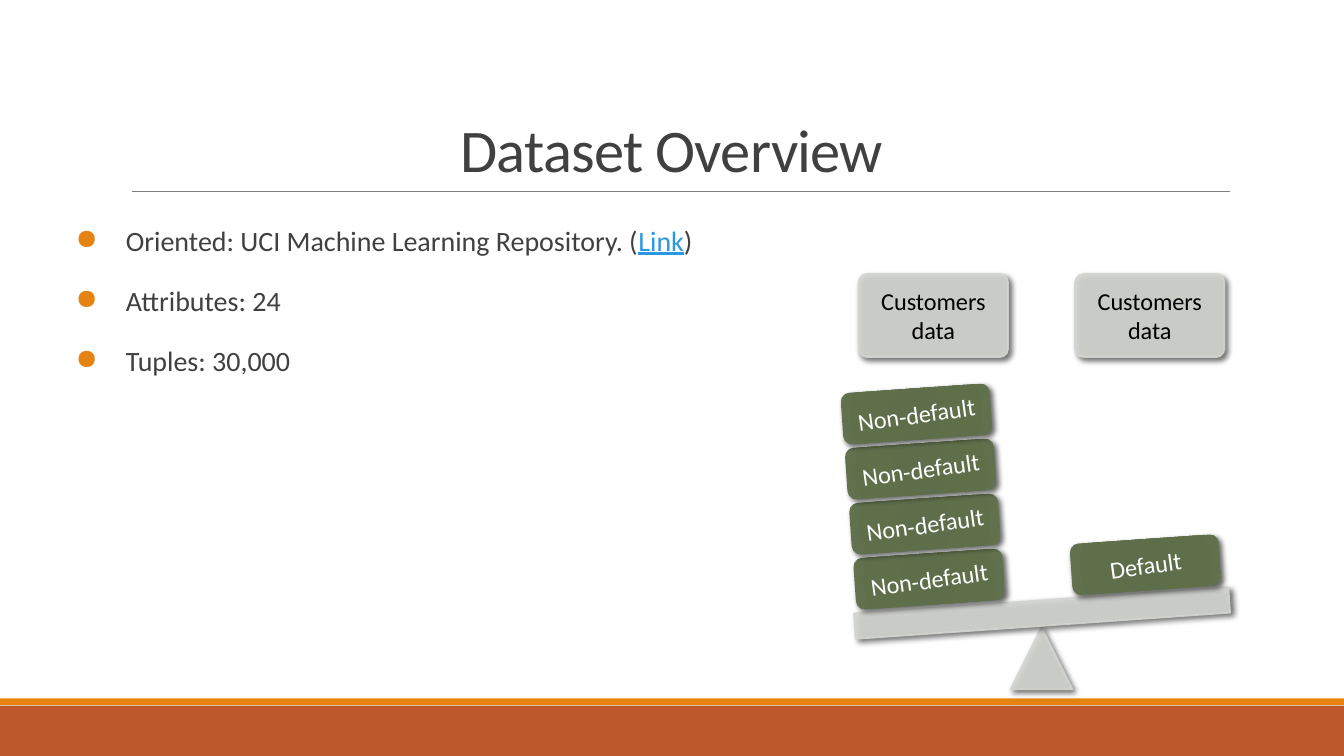
from pptx import Presentation
from pptx.dml.color import RGBColor
from pptx.enum.shapes import MSO_CONNECTOR, MSO_SHAPE as SHAPE
from pptx.enum.text import MSO_ANCHOR as ANCHOR, PP_ALIGN as ALIGN
from pptx.oxml import parse_xml
from pptx.oxml.ns import nsdecls, qn
from pptx.util import Cm, Pt
from lxml.etree import SubElement

rgb = RGBColor.from_string
NS = nsdecls("a")
SHADOW = (f'<a:outerShdw {NS} blurRad="38100" dist="25400" dir="2700000" rotWithShape="0">'
          '<a:srgbClr val="000000"><a:alpha val="60000"/></a:srgbClr></a:outerShdw>')
STOPS = [(0, "5D6D48"), (34, "5E6D4A"), (70, "5F6F4A"), (100, "637250")]
GREEN = (f'<a:gradFill {NS} rotWithShape="1"><a:gsLst>'
         + "".join(f'<a:gs pos="{pos * 1000}"><a:srgbClr val="{c}"/></a:gs>' for pos, c in STOPS)
         + '</a:gsLst><a:path path="circle"><a:fillToRect l="100000" t="100000" r="100000" b="100000"/>'
         '</a:path></a:gradFill>')
GREY = "D3D5D1"
DARK = "404040"

prs = Presentation()
prs.slide_width, prs.slide_height = Cm(25.4), Cm(14.29)
slide = prs.slides.add_slide(prs.slide_layouts[6])


def add_part(kind, x, y, w, h, rot=0, green=False):
    s = slide.shapes.add_shape(kind, Cm(x), Cm(y), Cm(w), Cm(h))
    s.rotation = rot
    s.fill.solid()
    s.fill.fore_color.rgb = rgb(GREY)
    if green:
        s.line.fill.background()
        solid = s._element.spPr.find(qn("a:solidFill"))
        solid.getparent().replace(solid, parse_xml(GREEN))
    else:
        s.line.color.rgb = rgb(GREY)
        s.line.width = Pt(1)
        for clr in s._element.spPr.iter(qn("a:srgbClr")):
            SubElement(clr, qn("a:alpha"), val="90000")
    s.shadow.inherit = False
    s._element.spPr.find(qn("a:effectLst")).append(parse_xml(SHADOW))
    return s


def add_text(x, y, w, h, paragraphs, size, inset, anchor=ANCHOR.TOP, align=ALIGN.LEFT, spacing=1.0):
    s = slide.shapes.add_textbox(Cm(x), Cm(y), Cm(w), Cm(h))
    tf = s.text_frame
    tf.word_wrap = True
    tf.vertical_anchor = anchor
    tf.margin_left = tf.margin_right = tf.margin_top = tf.margin_bottom = Cm(inset)
    for i, runs in enumerate(paragraphs):
        p = tf.add_paragraph() if i else tf.paragraphs[0]
        p.alignment = align
        p.line_spacing = spacing
        for text, color in runs:
            r = p.add_run()
            r.text = text
            r.font.name = "Calibri"
            r.font.size = Pt(size)
            r.font.color.rgb = rgb(color)
    return s


for y, h, color in [(13.34, 0.95, "BD582C"), (13.2, 0.13, "E48312")]:
    s = slide.shapes.add_shape(SHAPE.RECTANGLE, 0, Cm(y), prs.slide_width, Cm(h))
    s.fill.solid()
    s.fill.fore_color.rgb = rgb(color)
    s.line.fill.background()
    s.shadow.inherit = False

rule = slide.shapes.add_connector(MSO_CONNECTOR.STRAIGHT, Cm(2.49), Cm(3.62), Cm(23.24), Cm(3.62))
rule.line.color.rgb = rgb("808080")
rule.line.width = Pt(0.5)
SubElement(rule._element.spPr, qn("a:effectLst"))

title = add_text(0.86, 2.08, 23.67, 1.6, [[("Dataset Overview", DARK)]], 32.4, 0.25,
                 align=ALIGN.CENTER, spacing=0.85)
title.text_frame.paragraphs[0].runs[0].font._element.set("spc", "-40")

facts = [
    [("Oriented: UCI Machine Learning Repository. (", DARK), ("Link", "2998E3"), (")", DARK)],
    [("Attributes: 24", DARK)],
    [("Tuples: 30,000", DARK)],
]
body = add_text(0.86, 4.04, 22.45, 8.15, facts, 15, 0.25, spacing=0.9)
body.text_frame.paragraphs[0].runs[1].font.underline = True
for p in body.text_frame.paragraphs:
    p.space_after = Pt(16)
    pPr = p._p.get_or_add_pPr()
    pPr.set("marL", str(Cm(1.27)))
    pPr.set("indent", str(-Cm(0.95)))
    SubElement(SubElement(pPr, qn("a:buClr")), qn("a:srgbClr"), val="E48312")
    SubElement(pPr, qn("a:buChar"), char="●")

for x in (16.23, 20.32):
    s = add_part(SHAPE.ROUNDED_RECTANGLE, x, 5.18, 2.82, 1.57)
    s.adjustments[0] = 0.1
    add_text(x, 5.18, 2.82, 1.57, [[("Customers data", "000000")]], 13, 0.13,
             ANCHOR.MIDDLE, ALIGN.CENTER)

add_part(SHAPE.ISOSCELES_TRIANGLE, 19.1, 11.86, 1.17, 1.17)
add_part(SHAPE.RECTANGLE, 16.15, 11.35, 7.09, 0.48, -4)

blocks = [(16.15 - 0.08 * i, 10.46 - 1.04 * i, "Non-default") for i in range(4)]
blocks.append((20.24, 10.19, "Default"))
for x, y, label in blocks:
    add_part(SHAPE.ROUNDED_RECTANGLE, x, y, 2.82, 0.97, -4, green=True)
    s = add_text(x, y, 2.82, 0.97, [[(label, "FFFFFF")]], 13, 0.13, ANCHOR.MIDDLE, ALIGN.CENTER)
    s.rotation = -8

prs.save("out.pptx")
